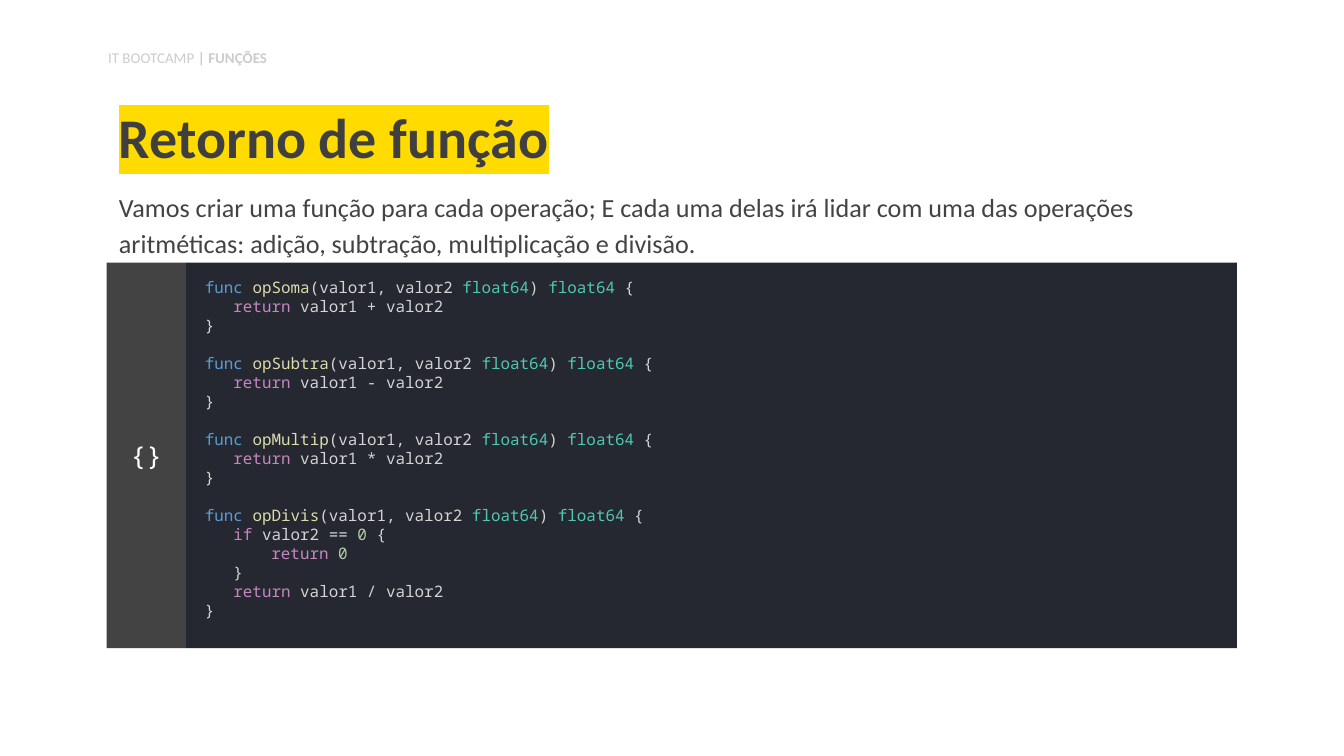
"""Build the slide on function returns, with its Go code panel."""
from lxml.etree import SubElement
from pptx import Presentation
from pptx.dml.color import RGBColor
from pptx.enum.shapes import MSO_SHAPE
from pptx.enum.text import MSO_ANCHOR, MSO_AUTO_SIZE, PP_ALIGN
from pptx.oxml.ns import qn
from pptx.util import Inches, Pt

WHITE = RGBColor(0xFF, 0xFF, 0xFF)
GREY = RGBColor(0xCC, 0xCC, 0xCC)
DARK = RGBColor(0x43, 0x43, 0x43)
TITLE = RGBColor(0x3F, 0x3F, 0x3F)
YELLOW = RGBColor(0xFF, 0xDB, 0x00)
PANEL = RGBColor(0x26, 0x28, 0x31)
KEYWORD = RGBColor(0x56, 0x9C, 0xD6)
FUNCTION = RGBColor(0xDC, 0xDC, 0xAA)
PLAIN = RGBColor(0xD4, 0xD4, 0xD4)
TYPE = RGBColor(0x4E, 0xC9, 0xB0)
CONTROL = RGBColor(0xC5, 0x86, 0xC0)
NUMBER = RGBColor(0xB5, 0xCE, 0xA8)
TEXT_FONT, CODE_FONT = "Calibri", "Noto Sans Mono"
CODE_SIZE = 8.5
CHARACTER_WIDTH = CODE_SIZE * 0.6
CODE_LINE = CODE_SIZE * 1.2

presentation = Presentation()
presentation.slide_width = Inches(10)
presentation.slide_height = presentation.slide_width * 9 // 16
COLUMN = presentation.slide_width / 100
ROW = presentation.slide_height / 100
slide = presentation.slides.add_slide(presentation.slide_layouts[1])


def place(shape, box, insets, anchor):
    """Position a shape in grid units and format its text frame."""
    units = (COLUMN, ROW, COLUMN, ROW)
    sides = ("left", "top", "width", "height")
    for side, share, unit in zip(sides, box, units):
        setattr(shape, side, int(share * unit))
    frame = shape.text_frame
    for side, inset in zip(("left", "top", "right", "bottom"), insets):
        setattr(frame, f"margin_{side}", Inches(inset))
    formats = {"word_wrap": True, "auto_size": MSO_AUTO_SIZE.NONE, "vertical_anchor": anchor}
    for name, value in formats.items():
        setattr(frame, name, value)
    return frame


def write(paragraph, runs, size, font, bold=False, **formats):
    """Add coloured runs to a paragraph and set its paragraph formats."""
    formats = {"alignment": PP_ALIGN.LEFT, "space_before": Pt(0)} | formats
    for name, value in formats.items():
        setattr(paragraph, name, value)
    for text, colour in runs:
        run = paragraph.add_run()
        run.text = text
        for name, value in {"size": Pt(size), "name": font, "bold": bold}.items():
            setattr(run.font, name, value)
        run.font.color.rgb = colour
    return run


EVEN = (0.1, 0.1, 0.1, 0.1)

frame = place(slide.shapes.title, (7.85, 12.09, 84.3, 12.27), EVEN, MSO_ANCHOR.BOTTOM)
run = write(frame.paragraphs[0], [("Retorno de função", TITLE)], 30, TEXT_FONT, True, line_spacing=0.9)
properties = run.font._element
highlight = SubElement(properties, qn("a:highlight"))
SubElement(highlight, qn("a:srgbClr"), val=str(YELLOW))
properties.find(qn("a:solidFill")).addnext(highlight)

frame = place(slide.placeholders[1], (7.85, 22.93, 84.3, 12.27), EVEN, MSO_ANCHOR.TOP)
introduction = (
    "Vamos criar uma função para cada operação; E cada uma delas irá lidar com "
    "uma das operações aritméticas: adição, subtração, multiplicação e divisão."
)
write(frame.paragraphs[0], [(introduction, DARK)], 14, TEXT_FONT, line_spacing=1.15)
properties = frame.paragraphs[0]._p.get_or_add_pPr()
for name in ("marL", "indent"):
    properties.set(name, "0")
SubElement(properties, qn("a:buNone"))

group = slide.shapes.add_group_shape()
panels = []
for left, width, fill, insets in (
    (13.84, 78.2, PANEL, (0.14, 0, 0.1, 0.1)),
    (7.94, 5.9, DARK, EVEN),
):
    panel = group.shapes.add_shape(MSO_SHAPE.RECTANGLE, 0, 0, 0, 0)
    panels.append(place(panel, (left, 34.74, width, 51.02), insets, MSO_ANCHOR.MIDDLE))
    panel.shadow.inherit = False
    panel.fill.solid()
    panel.fill.fore_color.rgb = fill
    panel.line.fill.background()
code, badge = panels
write(badge.paragraphs[0], [("{}", WHITE)], 14, CODE_FONT, alignment=PP_ALIGN.CENTER)

check = [
    (3, [("if", CONTROL), (" valor2 == ", PLAIN), ("0", NUMBER), (" {", PLAIN)]),
    (7, [("return ", CONTROL), ("0", NUMBER)]),
    (3, [("}", PLAIN)]),
]
paragraph = code.paragraphs[0]
for index, (name, operator, guard) in enumerate(
    (("opSoma", "+", []), ("opSubtra", "-", []), ("opMultip", "*", []), ("opDivis", "/", check))
):
    signature = [
        ("func ", KEYWORD), (name, FUNCTION), ("(valor1, valor2 ", PLAIN),
        ("float64", TYPE), (") ", PLAIN), ("float64", TYPE), (" {", PLAIN),
    ]
    result = [("return", CONTROL), (f" valor1 {operator} valor2", PLAIN)]
    lines = [(0, signature), *guard, (3, result), (0, [("}", PLAIN)])]
    for number, (indent, runs) in enumerate(lines):
        if index or number:
            paragraph = code.add_paragraph()
        gap = CODE_LINE if index and not number else 0
        write(paragraph, runs, CODE_SIZE, CODE_FONT, space_before=Pt(gap))
        paragraph._p.get_or_add_pPr().set("marL", str(Pt(indent * CHARACTER_WIDTH)))

header = slide.shapes.add_textbox(0, 0, 0, 0)
frame = place(header, (7.06, 5.51, 31.4, 4.8), (0.1, 0.05, 0.1, 0.05), MSO_ANCHOR.TOP)
for text, bold in (("IT BOOTCAMP", False), (" | FUNÇÕES", True)):
    write(frame.paragraphs[0], [(text, GREY)], 8, TEXT_FONT, bold, space_after=Pt(12))

presentation.save("out.pptx")
